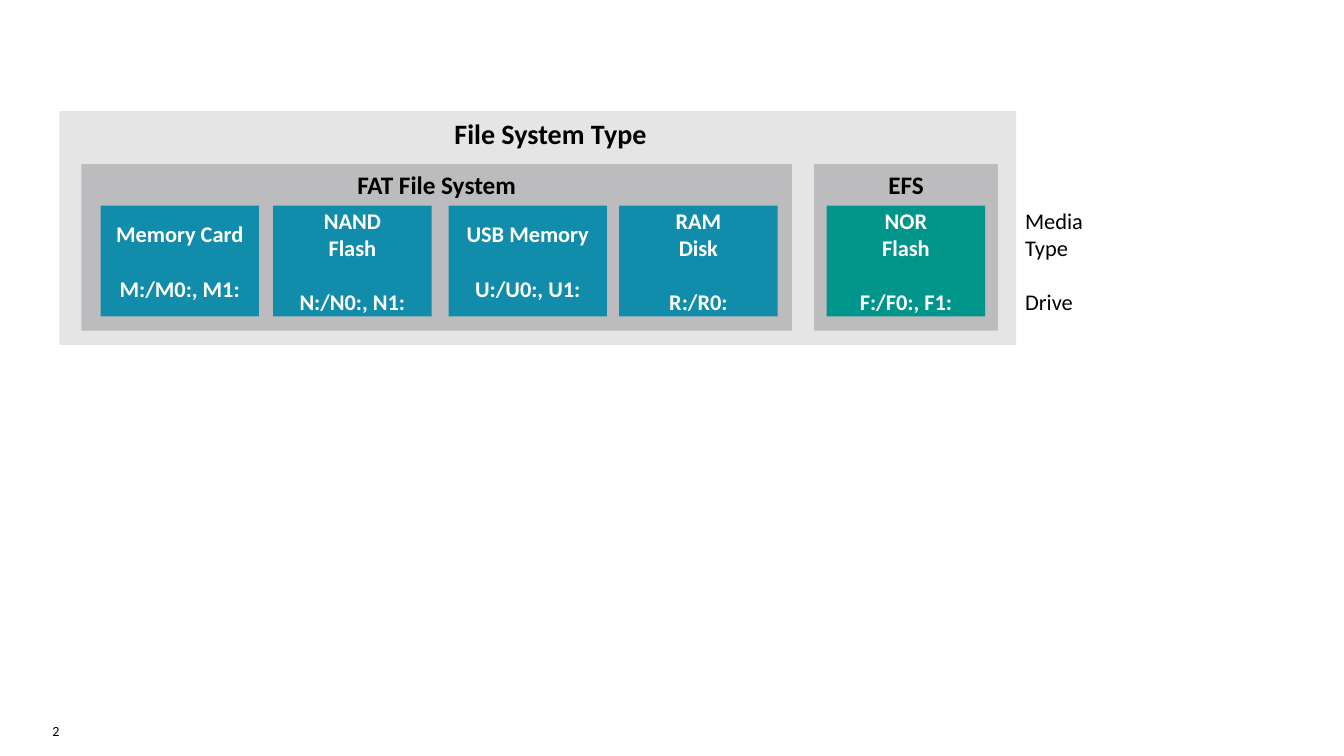
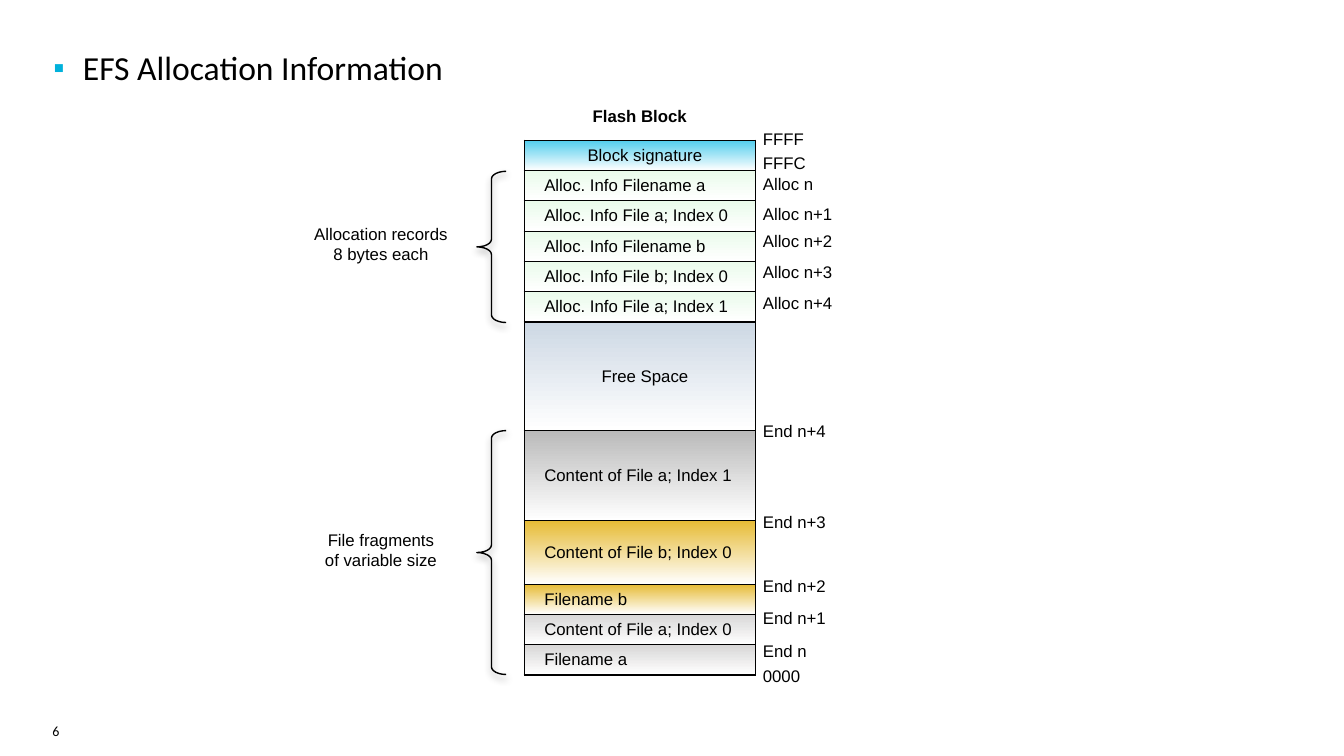
from lxml import etree
from pptx import Presentation
from pptx import util as u
from pptx.dml.color import RGBColor
from pptx.enum import shapes, text
from pptx.oxml import parse_xml
from pptx.oxml.ns import nsdecls, qn

Pt = u.Pt
LEFT, CENTER = text.PP_ALIGN.LEFT, text.PP_ALIGN.CENTER
TOP, MIDDLE = text.MSO_ANCHOR.TOP, text.MSO_ANCHOR.MIDDLE
NO_INSETS = (0, 0, 0, 0)
DEFAULT_INSETS = (7.2, 3.6, 7.2, 3.6)

COLORS = {
    "black": "000000", "white": "FFFFFF", "panel": "808082",
    "fat": "128CAB", "efs": "00958B", "bullet": "00B1DB",
    "signature": "51CDED", "record": "EAFBEB", "free": "CDD8E4",
    "file_a1": "BABABA", "file_b": "E6BB35", "file_a0": "D8D7D7",
}


def write(shape, lines, size, font="Calibri", color="black", bold=False,
          align=LEFT, anchor=TOP, insets=DEFAULT_INSETS, gap=0):
    """Fill a shape with lines; gap is the space above the last one."""
    frame = shape.text_frame
    frame.word_wrap = True
    frame.vertical_anchor = anchor
    frame.margin_left, frame.margin_top, frame.margin_right, frame.margin_bottom = map(Pt, insets)
    frame.text = "\n".join(lines)
    for paragraph in frame.paragraphs:
        paragraph.alignment = align
        paragraph.font.name = font
        paragraph.font.size = Pt(size)
        paragraph.font.bold = bold
        paragraph.font.color.rgb = RGBColor.from_string(COLORS[color])
    if gap:
        frame.paragraphs[-1].space_before = Pt(gap)


def add_box(slide, box, color, opacity=100):
    """Add a borderless rectangle."""
    shape = slide.shapes.add_shape(shapes.MSO_SHAPE.RECTANGLE, *map(Pt, box))
    shape.shadow.inherit = False
    shape.line.fill.background()
    shape.fill.solid()
    shape.fill.fore_color.rgb = RGBColor.from_string(COLORS[color])
    if opacity < 100:
        rgb = shape._element.spPr.find(qn("a:solidFill")).find(qn("a:srgbClr"))
        etree.SubElement(rgb, qn("a:alpha"), val=str(opacity * 1000))
    return shape


presentation = Presentation()
presentation.slide_width, presentation.slide_height = Pt(960), Pt(540)

# Both slides with their page numbers
slides = []
for number in ("2", "6"):
    slide = presentation.slides.add_slide(presentation.slide_layouts[6])
    page_number = slide.shapes.add_textbox(Pt(37.5), Pt(516.2), Pt(103), Pt(18.7))
    write(page_number, [number], 10, insets=(0, 0, 7.2, 0))
    slides.append(slide)
types_slide, allocation_slide = slides

# File system panels; the wider left inset moves the main heading to the right
panels = [
    ("File System Type", (42.5, 79.4, 683.3, 167), 20, 20, 25.2),
    ("FAT File System", (58.1, 117.2, 507.6, 119), 40, 18, 7.2),
    ("EFS", (581.6, 117.2, 131.2, 119), 40, 18, 7.2),
]
for heading, box, opacity, size, inset in panels:
    panel = add_box(types_slide, box, "panel", opacity)
    write(panel, [heading], size, bold=True, align=CENTER, insets=(inset, 3.6, 7.2, 3.6))

# Media types and their drives
MEDIA_TOP, MEDIA_WIDTH, MEDIA_HEIGHT, DRIVE_GAP = 146.9, 113.2, 79.2, 19.5
media_types = [
    (71.8, "fat", ["Memory Card", "M:/M0:, M1:"]),
    (195.1, "fat", ["NAND", "Flash", "N:/N0:, N1:"]),
    (320.4, "fat", ["USB Memory", "U:/U0:, U1:"]),
    (442.3, "fat", ["RAM", "Disk", "R:/R0:"]),
    (590.5, "efs", ["NOR", "Flash", "F:/F0:, F1:"]),
]
for left, color, lines in media_types:
    media = add_box(types_slide, (left, MEDIA_TOP, MEDIA_WIDTH, MEDIA_HEIGHT), color)
    write(media, lines, 16, color="white", bold=True, align=CENTER, anchor=MIDDLE, gap=DRIVE_GAP)
legend = types_slide.shapes.add_textbox(Pt(725.2), Pt(MEDIA_TOP), Pt(70.6), Pt(MEDIA_HEIGHT))
write(legend, ["Media", "Type", "Drive"], 16, anchor=MIDDLE, gap=DRIVE_GAP)

# Bulleted heading
heading = allocation_slide.shapes.add_textbox(Pt(38.2), Pt(33.8), Pt(878.4), Pt(447.8))
write(heading, ["EFS Allocation Information"], 24, insets=NO_INSETS, gap=4)
properties = heading.text_frame.paragraphs[0]._p.get_or_add_pPr()
properties.set("marL", str(Pt(21)))
properties.set("indent", str(-Pt(21)))
for bullet in (
    f'<a:buClr {nsdecls("a")}><a:srgbClr val="{COLORS["bullet"]}"/></a:buClr>',
    f'<a:buSzPct {nsdecls("a")} val="95000"/>',
    f'<a:buFont {nsdecls("a")} typeface="Arial"/>',
    f'<a:buChar {nsdecls("a")} char="▪"/>',
):
    properties.insert_element_before(parse_xml(bullet), "a:tabLst", "a:defRPr", "a:extLst")

# Flash block table
ROW = 20.7
rows = [
    ("Block signature", ROW, "signature", CENTER),
    ("Alloc. Info Filename a", ROW, "record", LEFT),
    ("Alloc. Info File a; Index 0", ROW, "record", LEFT),
    ("Alloc. Info Filename b", ROW, "record", LEFT),
    ("Alloc. Info File b; Index 0", ROW, "record", LEFT),
    ("Alloc. Info File a; Index 1", ROW, "record", LEFT),
    ("Free Space", 77.6, "free", CENTER),
    ("Content of File a; Index 1", 64.4, "file_a1", LEFT),
    ("Content of File b; Index 0", 45.3, "file_b", LEFT),
    ("Filename b", ROW, "file_b", LEFT),
    ("Content of File a; Index 0", ROW, "file_a0", LEFT),
    ("Filename a", ROW, "file_a0", LEFT),
]
table_height = sum(row[1] for row in rows)
table = allocation_slide.shapes.add_table(
    len(rows), 1, Pt(374.4), Pt(100.2), Pt(165.4), Pt(table_height)).table
table.first_row = table.horz_banding = False
for index, (label, height, color, align) in enumerate(rows):
    table.rows[index].height = Pt(height)
    cell = table.cell(index, 0)
    cell.text = label
    cell.vertical_anchor = MIDDLE
    cell.margin_left = Pt(14.4)
    paragraph = cell.text_frame.paragraphs[0]
    paragraph.alignment = align
    paragraph.font.name = "Arial"
    paragraph.font.size = Pt(12)
    paragraph.font.color.rgb = RGBColor.from_string(COLORS["black"])
    for side in ("lnL", "lnR", "lnT", "lnB"):
        cell._tc.get_or_add_tcPr().append(parse_xml(
            f'<a:{side} {nsdecls("a")} w="{Pt(1)}"><a:solidFill>'
            f'<a:srgbClr val="{COLORS["black"]}"/></a:solidFill></a:{side}>'))
    cell.fill.gradient()
    cell.fill.gradient_angle = 270
    for stop, stop_color in zip(cell.fill.gradient_stops, (color, "white")):
        stop.color.rgb = RGBColor.from_string(COLORS[stop_color])

caption = allocation_slide.shapes.add_textbox(Pt(415), Pt(75.6), Pt(84), Pt(19.4))
write(caption, ["Flash Block"], 12, "Arial", bold=True, align=CENTER, insets=NO_INSETS)

# Addresses beside the table
addresses = [
    ("FFFF", 90.7), ("FFFC", 107.6), ("Alloc n", 122.4), ("Alloc n+1", 144),
    ("Alloc n+2", 163.4), ("Alloc n+3", 185.8), ("Alloc n+4", 207.7),
    ("End n+4", 298.8), ("End n+3", 364.3), ("End n+2", 409.9),
    ("End n+1", 432.9), ("End n", 456.5), ("0000", 473.8),
]
for label, top in addresses:
    address = allocation_slide.shapes.add_textbox(Pt(539.3), Pt(top), Pt(85), Pt(17.3))
    write(address, [label], 12, "Arial", anchor=MIDDLE, insets=(5.6, 0, 0, 0))

# Braces with their descriptions
braces = [
    (122.4, 108, 160, ["Allocation records", "8 bytes each"]),
    (307.6, 174.2, 378.4, ["File fragments", "of variable size"]),
]
for top, height, text_top, lines in braces:
    brace = allocation_slide.shapes.add_shape(
        shapes.MSO_SHAPE.LEFT_BRACE, Pt(340.6), Pt(top), Pt(20.9), Pt(height))
    brace.adjustments[0] = 0.26
    brace.fill.background()
    brace.line.color.rgb = RGBColor.from_string(COLORS["black"])
    brace.line.width = Pt(1)
    brace.shadow.inherit = False
    brace._element.spPr.find(qn("a:effectLst")).append(parse_xml(
        f'<a:outerShdw {nsdecls("a")} blurRad="{Pt(5.2)}" dist="{Pt(3)}" dir="5400000" '
        f'rotWithShape="0"><a:srgbClr val="{COLORS["black"]}"><a:alpha val="40000"/>'
        '</a:srgbClr></a:outerShdw>'))
    description = allocation_slide.shapes.add_textbox(Pt(216.7), Pt(text_top), Pt(110.9), Pt(33.1))
    write(description, lines, 12, "Arial", align=CENTER, insets=NO_INSETS)

presentation.save("out.pptx")
